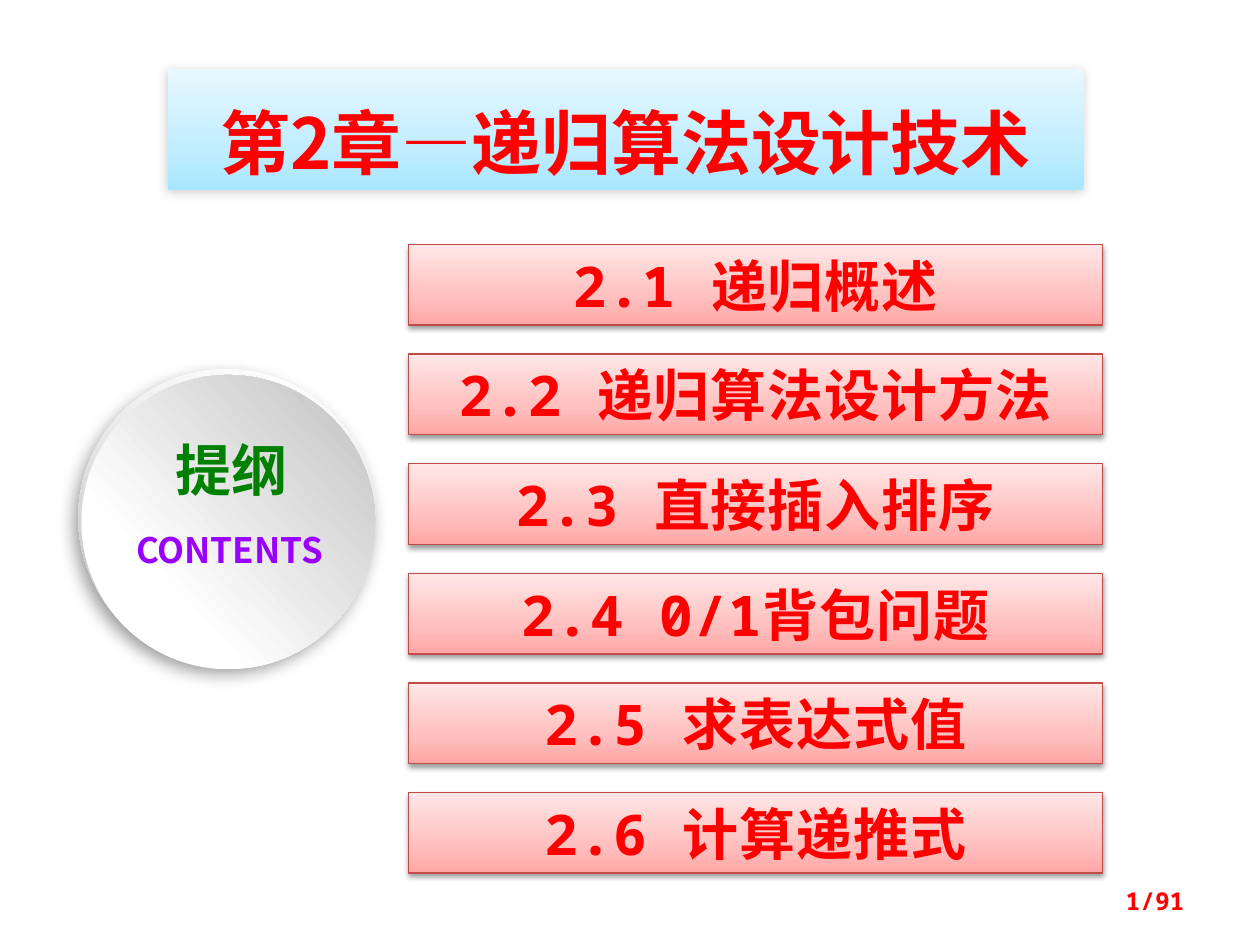
import pptx
import pptx.util
import pptx.dml.color
import pptx.enum.shapes
import pptx.enum.text
import pptx.oxml
import pptx.oxml.ns

COLUMNS, ROWS = 100, 75
DECK_WIDTH, DECK_HEIGHT = pptx.util.Inches(10), pptx.util.Inches(7.5)
SANS, MONO = "Noto Sans CJK SC", "Noto Sans Mono"
COLORS = {
    "red": "FF0000", "green": "008000", "violet": "9900FF",
    "bar_line": "BF4C48", "shadow": "000000",
}
GRADIENTS = {
    "title": ([(0, "A7E6FF"), (35, "C1EDFF"), (100, "E7F8FF")], 270),
    "bar": ([(0, "FFA6A5"), (35, "FFC0BF"), (100, "FFE7E7")], 270),
    "rim": ([(17, "FFFFFF"), (88, "B8B8B8")], 45),
    "face": ([(29, "FFFFFF"), (98, "BFBFBF")], 45),
}
CHAPTERS = [
    "2.1 递归概述", "2.2 递归算法设计方法", "2.3 直接插入排序",
    "2.4 0/1背包问题", "2.5 求表达式值", "2.6 计算递推式",
]
ALIGN = pptx.enum.text.PP_ALIGN
SHAPE = pptx.enum.shapes.MSO_SHAPE


def place(box):
    """Turn a box in grid columns and rows into slide lengths."""
    left, top, width, height = box
    column, row = DECK_WIDTH / COLUMNS, DECK_HEIGHT / ROWS
    return [round(n) for n in (left * column, top * row, width * column, height * row)]


def part(box, left, top, width, height):
    """Return the part of a box given by shares of its size."""
    return (box[0] + left * box[2], box[1] + top * box[3], width * box[2], height * box[3])


def add_panel(shapes, kind, box, gradient, shadow=None, line=None, rotation=0):
    """Add a gradient shape with an optional outline and shadow."""
    panel = shapes.add_shape(kind, *place(box))
    panel.rotation = rotation
    panel.shadow.inherit = False
    if line:
        panel.line.color.rgb = pptx.dml.color.RGBColor.from_string(COLORS[line])
        panel.line.width = pptx.util.Pt(0.75)
    else:
        panel.line.fill.background()
    panel.fill.background()
    properties = panel._element.spPr
    namespace = pptx.oxml.ns.nsdecls("a")
    stops, angle = GRADIENTS[gradient]
    stop_xml = "".join(
        f'<a:gs pos="{pos * 1000}"><a:srgbClr val="{color}"/></a:gs>' for pos, color in stops
    )
    properties.replace(
        properties.find(pptx.oxml.ns.qn("a:noFill")),
        pptx.oxml.parse_xml(
            f'<a:gradFill {namespace} rotWithShape="1"><a:gsLst>{stop_xml}</a:gsLst>'
            f'<a:lin ang="{angle * 60000}" scaled="0"/></a:gradFill>'
        ),
    )
    if shadow:
        alpha, blur, distance, direction = shadow
        properties.find(pptx.oxml.ns.qn("a:effectLst")).append(pptx.oxml.parse_xml(
            f'<a:outerShdw {namespace} blurRad="{pptx.util.Pt(blur)}" '
            f'dist="{pptx.util.Pt(distance)}" dir="{direction * 60000}" rotWithShape="0">'
            f'<a:srgbClr val="{COLORS["shadow"]}"><a:alpha val="{alpha * 1000}"/>'
            f'</a:srgbClr></a:outerShdw>'
        ))
    return panel


def write(shape, text, size, font, color, align=ALIGN.CENTER, spacing=0):
    """Write one bold line into a shape, centred vertically."""
    frame = shape.text_frame
    frame.word_wrap = True
    frame.vertical_anchor = pptx.enum.text.MSO_ANCHOR.MIDDLE
    para = frame.paragraphs[0]
    para.alignment = align
    span = para.add_run()
    span.text = text
    span.font.size = pptx.util.Pt(size)
    span.font.bold = True
    span.font.name = font
    span.font.color.rgb = pptx.dml.color.RGBColor.from_string(COLORS[color])
    properties = span._r.get_or_add_rPr()
    properties.set("lang", "zh-CN")
    if spacing:
        properties.set("spc", str(round(spacing * 100)))
    properties.find(pptx.oxml.ns.qn("a:latin")).addnext(pptx.oxml.parse_xml(
        f'<a:ea {pptx.oxml.ns.nsdecls("a")} typeface="{SANS}"/>'
    ))


def add_title(page, box):
    """Add the chapter title banner."""
    banner = add_panel(page.shapes, SHAPE.RECTANGLE, box, "title", (20, 6, 1, 135))
    banner.text_frame.margin_top = pptx.util.Inches(0.24)
    write(banner, "第2章—递归算法设计技术", 40, SANS, "red")


def add_disc(page, box):
    """Add the round contents badge with its two labels."""
    group = page.shapes.add_group_shape()
    add_panel(group.shapes, SHAPE.OVAL, part(box, 0, 0, 1, 0.99), "rim",
              (39, 10, 5, 123), rotation=62.3)
    add_panel(group.shapes, SHAPE.OVAL, part(box, 0.01, 0.02, 0.99, 0.98), "face",
              rotation=273)
    labels = [
        ("CONTENTS", 20, "violet", (0.12, 0.51, 0.78, 0.18)),
        ("提纲", 32, "green", (0.19, 0.2, 0.65, 0.27)),
    ]
    for text, size, color, shares in labels:
        label = page.shapes.add_textbox(*place(part(box, *shares)))
        write(label, text, size, SANS, color)


def add_chapters(page, box):
    """Stack the section bars at an equal pitch down the box."""
    left, top, width, height = box
    bar_height = 6.4
    pitch = (height - bar_height) / (len(CHAPTERS) - 1)
    for index, chapter in enumerate(CHAPTERS):
        bar = add_panel(page.shapes, SHAPE.RECTANGLE,
                        (left, top + index * pitch, width, bar_height),
                        "bar", (38, 3.1, 1.6, 90), "bar_line")
        write(bar, chapter, 32, MONO, "red", spacing=0.5)


def add_page_number(page, box):
    """Add the page count at the lower right."""
    write(page.shapes.add_textbox(*place(box)), "1/91", 14, MONO, "red", ALIGN.RIGHT)


def main():
    """Build the slide and save it."""
    deck = pptx.Presentation()
    deck.slide_width, deck.slide_height = DECK_WIDTH, DECK_HEIGHT
    page = deck.slides.add_slide(deck.slide_layouts[6])
    add_title(page, (13.3, 5.5, 72.7, 9.6))
    add_disc(page, (6.2, 29.3, 23.6, 23.8))
    add_chapters(page, (32.4, 19.4, 55.1, 49.9))
    add_page_number(page, (71.7, 69.5, 23.3, 4))
    deck.save("out.pptx")


if __name__ == "__main__":
    main()
